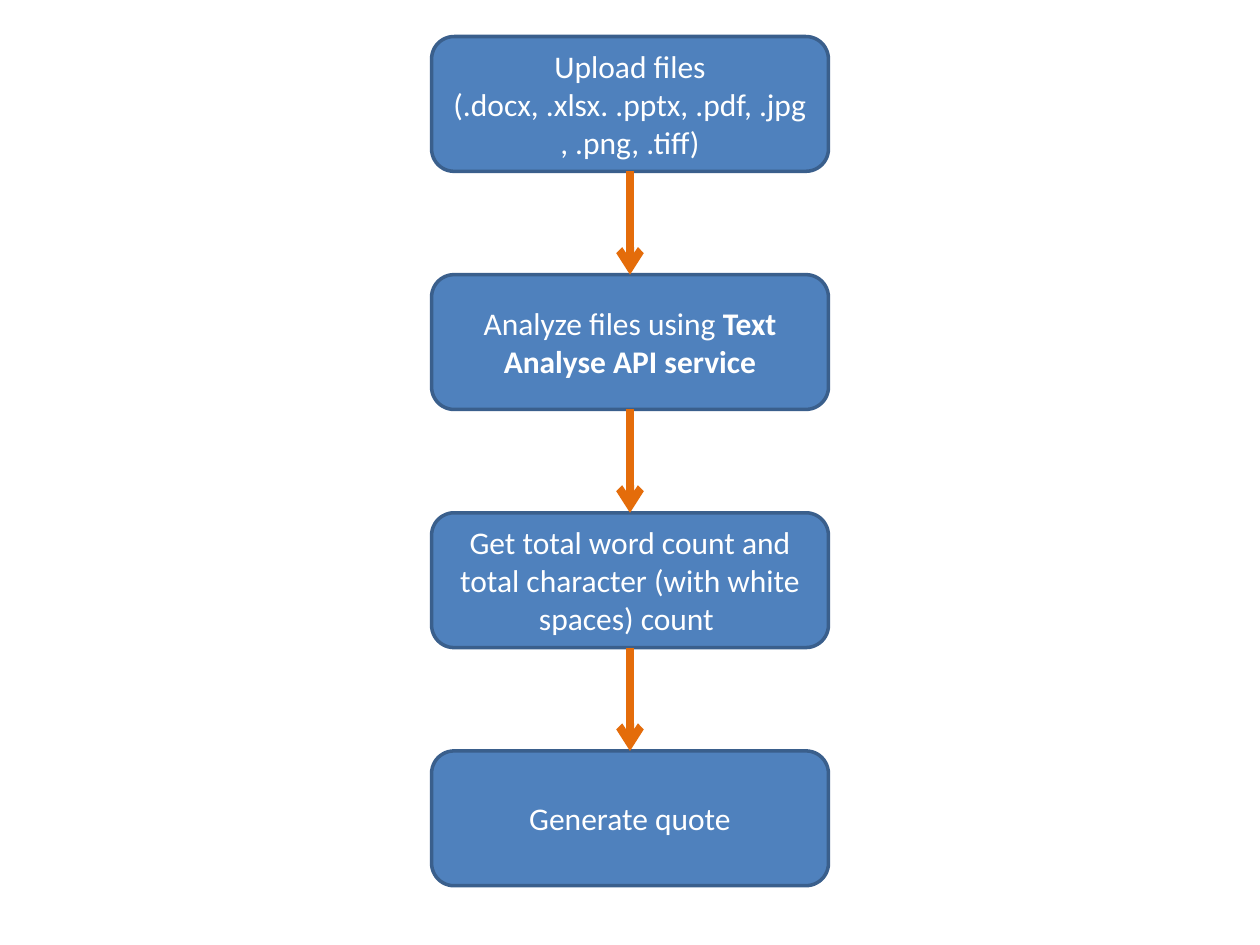
from lxml import etree
from pptx import Presentation
from pptx.dml.color import RGBColor
from pptx.enum.shapes import MSO_CONNECTOR, MSO_SHAPE
from pptx.enum.text import MSO_ANCHOR, PP_ALIGN
from pptx.oxml.ns import qn
from pptx.util import Inches, Pt

ROUND = MSO_SHAPE.ROUNDED_RECTANGLE
LINE = MSO_CONNECTOR.STRAIGHT
MIDDLE = MSO_ANCHOR.MIDDLE
CENTER = PP_ALIGN.CENTER

# Each step is a list of paragraphs; each paragraph is a list of (text, bold).
STEPS = [
    [[("Upload files", False)],
     [("(.docx, .xlsx. .pptx, .pdf, .jpg, .png, .tiff)", False)]],
    [[("Analyze files using ", False), ("Text Analyse API service", True)]],
    [[("Get total word count and total character (with white spaces) count ",
       False)]],
    [[("Generate quote", False)]],
]
COLORS = {"box": "4F81BD", "edge": "3A5F8C", "arrow": "E46C0A",
          "text": "FFFFFF"}
WIDE, HIGH = 10, 7.5
BOX_W, BOX_H = 3.15, 1.07
TOP, PITCH = 0.29, 1.89
LEFT = (WIDE - BOX_W) / 2


def color(name):
    """Return the named colour."""
    return RGBColor.from_string(COLORS[name])


def write(frame, paras, size=18, font="Calibri", ink="text", align=CENTER):
    """Fill a text frame with formatted paragraphs."""
    frame.word_wrap = True
    frame.vertical_anchor = MIDDLE
    for i, runs in enumerate(paras):
        para = frame.add_paragraph() if i else frame.paragraphs[0]
        para.alignment = align
        for text, bold in runs:
            run = para.add_run()
            run.text = text
            run.font.size = Pt(size)
            run.font.name = font
            run.font.bold = bold
            run.font.color.rgb = color(ink)


def add_box(slide, top, paras):
    """Add one rounded step box."""
    box = slide.shapes.add_shape(ROUND, Inches(LEFT), Inches(top),
                                 Inches(BOX_W), Inches(BOX_H))
    box.shadow.inherit = False
    box.fill.solid()
    box.fill.fore_color.rgb = color("box")
    box.line.color.rgb = color("edge")
    box.line.width = Pt(2)
    write(box.text_frame, paras)
    return box


def add_arrow(slide, start, end):
    """Join the bottom of one box to the top of the next."""
    arrow = slide.shapes.add_connector(LINE, 0, 0, 0, 0)
    arrow.begin_connect(start, 2)
    arrow.end_connect(end, 0)
    arrow.line.color.rgb = color("arrow")
    arrow.line.width = Pt(4.5)
    props = arrow.element.spPr
    etree.SubElement(props.find(qn("a:ln")), qn("a:tailEnd"), type="arrow")
    etree.SubElement(props, qn("a:effectLst"))


deck = Presentation()
deck.slide_width, deck.slide_height = Inches(WIDE), Inches(HIGH)
slide = deck.slides.add_slide(deck.slide_layouts[6])
boxes = [add_box(slide, TOP + i * PITCH, step) for i, step in enumerate(STEPS)]
for start, end in zip(boxes, boxes[1:]):
    add_arrow(slide, start, end)
deck.save("out.pptx")
